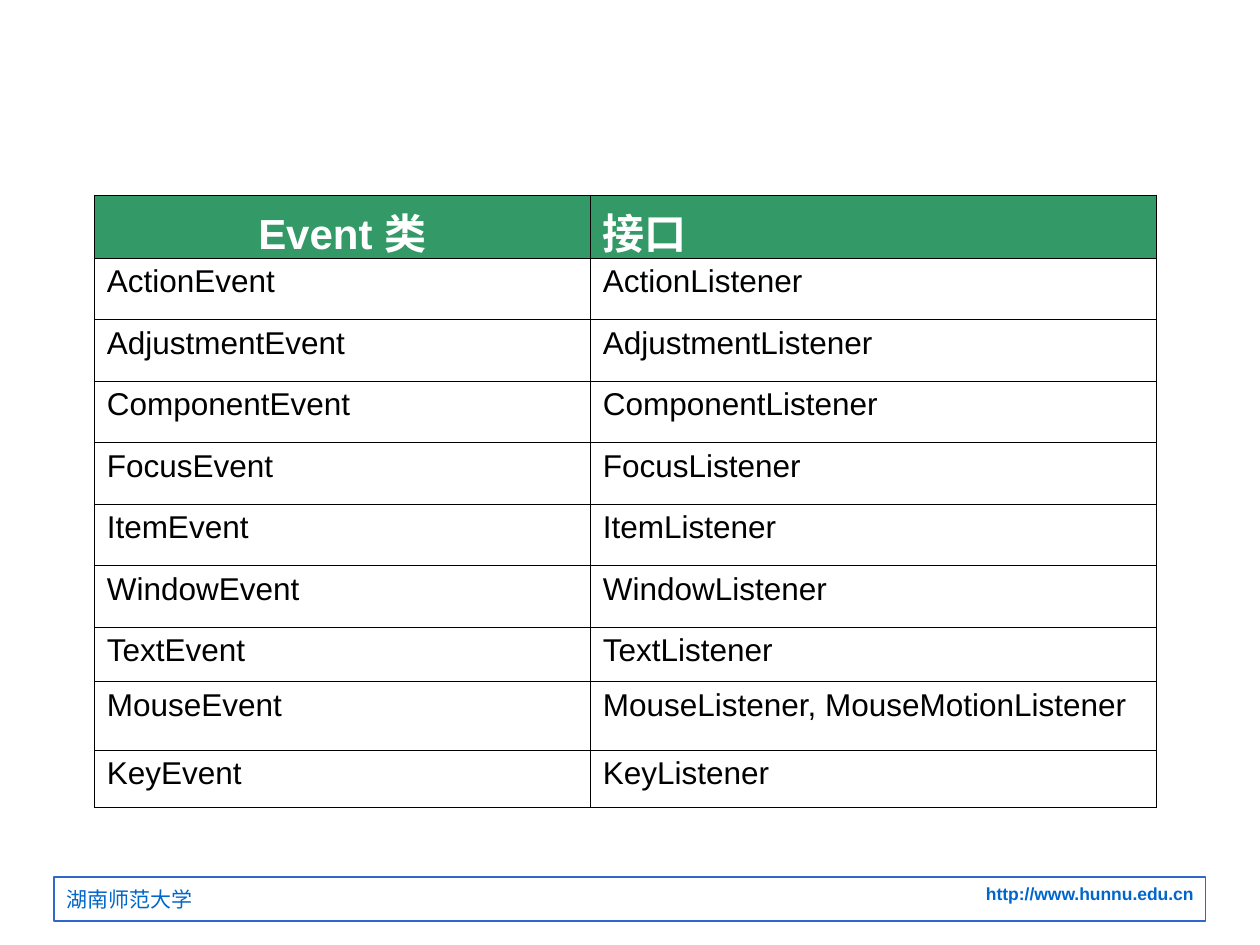
import lxml.etree
import pptx
import pptx.dml.color
import pptx.enum.shapes
import pptx.enum.text
import pptx.oxml.ns
import pptx.util
from pptx.util import Cm

BLACK = pptx.dml.color.RGBColor(0x00, 0x00, 0x00)
WHITE = pptx.dml.color.RGBColor(0xFF, 0xFF, 0xFF)
GREEN = pptx.dml.color.RGBColor(0x33, 0x99, 0x66)
LINK_BLUE = pptx.dml.color.RGBColor(0x00, 0x66, 0xCC)
FRAME_BLUE = pptx.dml.color.RGBColor(0x33, 0x66, 0xCC)
LEFT = pptx.enum.text.PP_ALIGN.LEFT
CENTER = pptx.enum.text.PP_ALIGN.CENTER
RIGHT = pptx.enum.text.PP_ALIGN.RIGHT

BORDER_WIDTH = pptx.util.Pt(0.45)
COLUMN_WIDTHS = [10, 11.41]
ROW_HEIGHTS = [1.27] + [1.24] * 6 + [1.1, 1.38, 1.15]
HEADINGS = ("Event 类", "接口")
EVENT_LISTENERS = [
    ("ActionEvent", "ActionListener"),
    ("AdjustmentEvent", "AdjustmentListener"),
    ("ComponentEvent", "ComponentListener"),
    ("FocusEvent", "FocusListener"),
    ("ItemEvent", "ItemListener"),
    ("WindowEvent", "WindowListener"),
    ("TextEvent", "TextListener"),
    ("MouseEvent", "MouseListener, MouseMotionListener"),
    ("KeyEvent", "KeyListener"),
]


def write_text(text_frame, text, size, color, bold=False, alignment=LEFT, font_name="Arial"):
    paragraph = text_frame.paragraphs[0]
    paragraph.text = text
    paragraph.alignment = alignment
    paragraph.font.name = font_name
    paragraph.font.size = pptx.util.Pt(size)
    paragraph.font.bold = bold
    paragraph.font.color.rgb = color
    return paragraph


def add_borders(cell):
    properties = cell._tc.get_or_add_tcPr()
    qualify = pptx.oxml.ns.qn
    for side in ("a:lnL", "a:lnR", "a:lnT", "a:lnB"):
        line = lxml.etree.SubElement(properties, qualify(side), w=str(int(BORDER_WIDTH)))
        fill = lxml.etree.SubElement(line, qualify("a:solidFill"))
        lxml.etree.SubElement(fill, qualify("a:srgbClr"), val=str(BLACK))


def fill_cell(cell, color):
    add_borders(cell)
    cell.fill.solid()
    cell.fill.fore_color.rgb = color


def add_listener_table(slide):
    rows = [HEADINGS] + EVENT_LISTENERS
    table = slide.shapes.add_table(
        len(rows), len(HEADINGS), Cm(1.9), Cm(3.93),
        Cm(sum(COLUMN_WIDTHS)), Cm(sum(ROW_HEIGHTS))).table
    for column, width in zip(table.columns, COLUMN_WIDTHS):
        column.width = Cm(width)
    for row, height in zip(table.rows, ROW_HEIGHTS):
        row.height = Cm(height)
    for row_index, texts in enumerate(rows):
        for column_index, text in enumerate(texts):
            cell = table.cell(row_index, column_index)
            if row_index == 0:
                fill_cell(cell, GREEN)
                cell.margin_bottom = 0
                alignment = CENTER if column_index == 0 else LEFT
                write_text(cell.text_frame, text, 24, WHITE, True, alignment)
            else:
                fill_cell(cell, WHITE)
                write_text(cell.text_frame, text, 18, BLACK)


def add_footer_frame(slide, address):
    frame = slide.shapes.add_shape(
        pptx.enum.shapes.MSO_SHAPE.RECTANGLE, Cm(1.09), Cm(17.68), Cm(23.22), Cm(0.89))
    frame.shadow.inherit = False
    frame.fill.background()
    frame.line.color.rgb = FRAME_BLUE
    frame.line.width = pptx.util.Pt(0.75)
    frame.text_frame.vertical_anchor = pptx.enum.text.MSO_ANCHOR.TOP
    paragraph = write_text(frame.text_frame, address, 10, LINK_BLUE, True, RIGHT)
    paragraph.space_before = pptx.util.Pt(2.5)


def add_footer_name(slide, name):
    box = slide.shapes.add_textbox(Cm(1.09), Cm(17.75), Cm(10), Cm(0.76))
    box.text_frame.word_wrap = True
    paragraph = write_text(box.text_frame, name, 12, LINK_BLUE, font_name="Noto Sans CJK SC")
    paragraph.space_before = pptx.util.Pt(7.5)


def main():
    presentation = pptx.Presentation()
    presentation.slide_width = Cm(25.4)
    presentation.slide_height = Cm(19.05)
    slide = presentation.slides.add_slide(presentation.slide_layouts[6])
    add_footer_frame(slide, "http://www.hunnu.edu.cn")
    add_footer_name(slide, "湖南师范大学")
    add_listener_table(slide)
    presentation.save("out.pptx")


if __name__ == "__main__":
    main()
